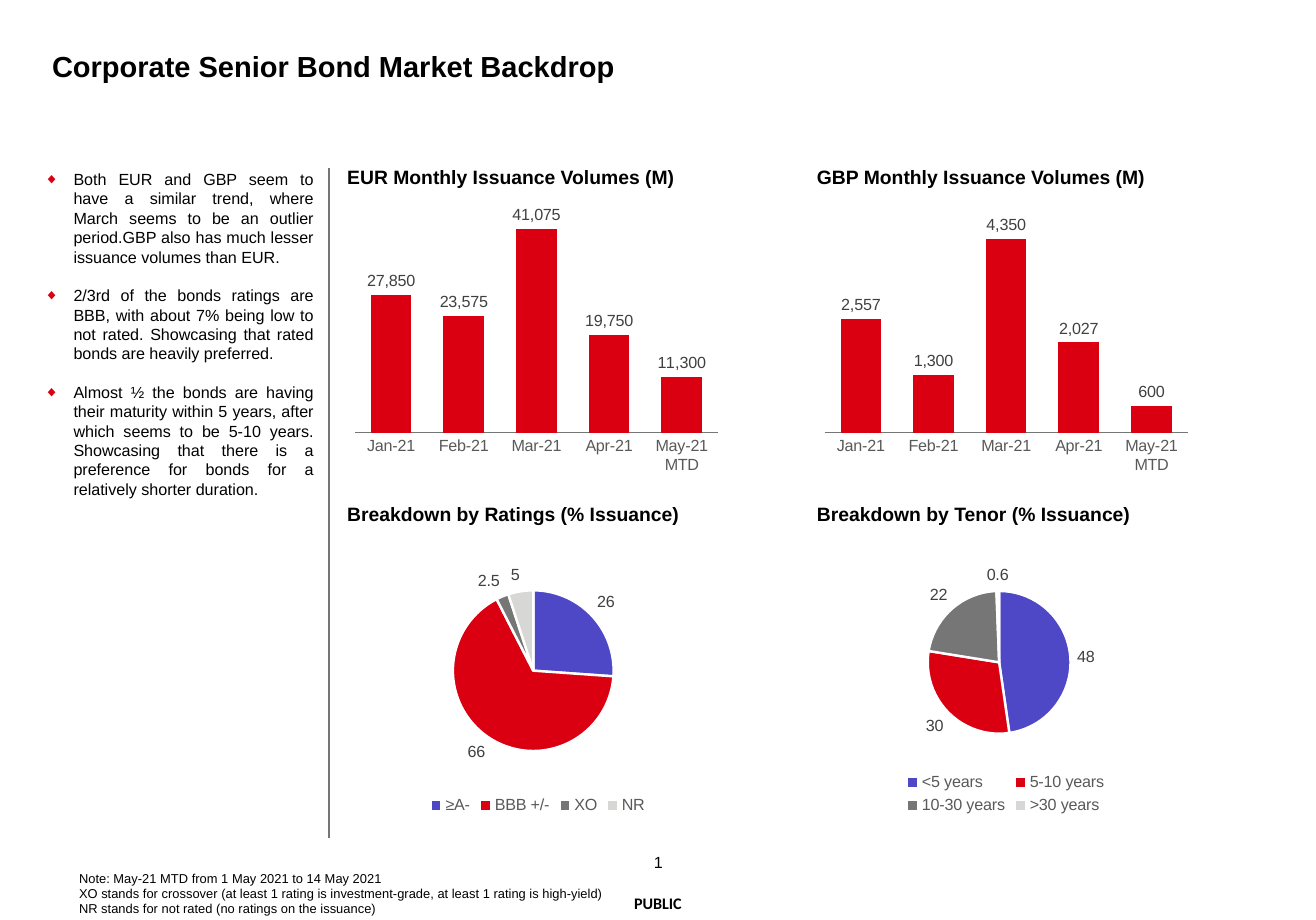
from lxml import etree
from pptx import Presentation
from pptx.chart.data import CategoryChartData
from pptx.dml.color import RGBColor
from pptx.enum.chart import XL_CHART_TYPE as ChartType
from pptx.enum.chart import XL_LABEL_POSITION as LabelPosition
from pptx.enum.chart import XL_LEGEND_POSITION as LegendPosition
from pptx.enum.chart import XL_TICK_LABEL_POSITION as TickLabels
from pptx.enum.chart import XL_TICK_MARK as TickMark
from pptx.enum.shapes import MSO_CONNECTOR as Connector
from pptx.enum.text import MSO_ANCHOR as Anchor
from pptx.enum.text import PP_ALIGN as Align
from pptx.oxml.ns import qn
from pptx.util import Cm, Pt

COLORS = {
    "black": "000000",
    "white": "FFFFFF",
    "label": "404040",
    "axis": "595959",
    "blue": "4E48C7",
    "red": "DB0011",
    "grey": "767676",
    "light": "D7D8D6",
}
SLICE_COLORS = ["blue", "red", "grey", "light"]
MONTHS = ["Jan-21", "Feb-21", "Mar-21", "Apr-21", "May-21 MTD"]

COMMENTARY = [
    "Both EUR and GBP seem to have a similar trend, where March seems to be an "
    "outlier period.GBP also has much lesser issuance volumes than EUR.",
    "2/3rd of the bonds ratings are BBB, with about 7% being low to not rated. "
    "Showcasing that rated bonds are heavily preferred.",
    "Almost ½ the bonds are having their maturity within 5 years, after which "
    "seems to be 5-10 years. Showcasing that there is a preference for bonds "
    "for a relatively shorter duration.",
]
NOTES = [
    "Note: May-21 MTD from 1 May 2021 to 14 May 2021",
    "XO stands for crossover (at least 1 rating is investment-grade, "
    "at least 1 rating is high-yield)",
    "NR stands for not rated (no ratings on the issuance)",
]
COLUMN_PANELS = [
    ("EUR Monthly Issuance Volumes (M)", 7.6, [27850, 23575, 41075, 19750, 11300], 45000),
    ("GBP Monthly Issuance Volumes (M)", 17.88, [2557, 1300, 4350, 2027, 600], 5000),
]
PIE_PANELS = [
    ("Breakdown by Ratings (% Issuance)", 7.6, 7.01,
     ["≥A-", "BBB +/-", "XO", "NR"], [26, 66, 2.5, 5]),
    ("Breakdown by Tenor (% Issuance)", 17.88, 17.25,
     ["<5 years", "5-10 years", "10-30 years", ">30 years"], [48, 30, 22, 0.6]),
]


def rgb(color):
    return RGBColor.from_string(COLORS[color])


class SlideBuilder:
    def __init__(self, slide, font="Arial", size=10):
        self.slide = slide
        self.font = font
        self.size = size

    def style(self, font, color="black", size=None, bold=False, name=None):
        font.name = name or self.font
        font.size = Pt(size or self.size)
        font.bold = bold
        font.color.rgb = rgb(color)

    def text(self, lines, left, top, width, height, align=Align.LEFT,
             anchor=Anchor.TOP, wrap=True, bullet=False, spacing=None, **style):
        box = self.slide.shapes.add_textbox(Cm(left), Cm(top), Cm(width), Cm(height))
        frame = box.text_frame
        frame.word_wrap = wrap
        frame.vertical_anchor = anchor
        frame.margin_left = frame.margin_right = 0
        frame.margin_top = frame.margin_bottom = 0
        for index, line in enumerate(lines):
            paragraph = frame.add_paragraph() if index else frame.paragraphs[0]
            paragraph.text = line
            paragraph.alignment = align
            paragraph.line_spacing = spacing
            if bullet:
                paragraph.space_before = Pt(12 if index else 0)
                self.bullet(paragraph)
            self.style(paragraph.font, **style)

    def bullet(self, paragraph):
        properties = paragraph._p.get_or_add_pPr()
        properties.set("marL", str(Cm(0.64)))
        properties.set("indent", str(-Cm(0.64)))
        color = etree.SubElement(properties, qn("a:buClr"))
        etree.SubElement(color, qn("a:srgbClr"), val=COLORS["red"])
        etree.SubElement(properties, qn("a:buSzPct"), val="90000")
        etree.SubElement(properties, qn("a:buFont"), typeface=self.font)
        etree.SubElement(properties, qn("a:buChar"), char="◆")

    def heading(self, text, left, top):
        self.text([text], left, top, 9.78, 0.51, size=12, bold=True)

    def line(self, left, top, right, bottom):
        connector = self.slide.shapes.add_connector(
            Connector.STRAIGHT, Cm(left), Cm(top), Cm(right), Cm(bottom))
        connector.line.color.rgb = rgb("grey")
        connector.line.width = Pt(1)
        etree.SubElement(connector._element.spPr, qn("a:effectLst"))

    def chart(self, kind, left, top, width, height, categories, values, number_format):
        data = CategoryChartData()
        data.categories = categories
        data.add_series("Issuance", values)
        chart = self.slide.shapes.add_chart(
            kind, Cm(left), Cm(top), Cm(width), Cm(height), data).chart
        chart.has_title = False
        chart.has_legend = False
        self.style(chart.font)
        plot = chart.plots[0]
        plot.has_data_labels = True
        labels = plot.data_labels
        labels.show_value = True
        labels.position = LabelPosition.OUTSIDE_END
        labels.number_format = number_format
        labels.number_format_is_linked = False
        self.style(labels.font, "label")
        return chart

    def column_chart(self, left, top, values, maximum):
        chart = self.chart(ChartType.COLUMN_CLUSTERED, left, top, 8.28, 6.02,
                           MONTHS, values, "#,##0")
        plot = chart.plots[0]
        plot.vary_by_categories = False
        plot.gap_width = 79
        plot.overlap = -27
        fill = plot.series[0].format.fill
        fill.solid()
        fill.fore_color.rgb = rgb("red")
        months = chart.category_axis
        months.major_tick_mark = TickMark.NONE
        months.format.line.color.rgb = rgb("grey")
        months.format.line.width = Pt(0.75)
        self.style(months.tick_labels.font, "axis")
        volumes = chart.value_axis
        volumes.minimum_scale = 0
        volumes.maximum_scale = maximum
        volumes.has_major_gridlines = False
        volumes.major_tick_mark = TickMark.NONE
        volumes.tick_label_position = TickLabels.NONE
        volumes.format.line.fill.background()

    def pie_chart(self, left, top, categories, values):
        chart = self.chart(ChartType.PIE, left, top, 9.53, 5.89,
                           categories, values, "General")
        plot = chart.plots[0]
        plot.vary_by_categories = True
        for index, color in enumerate(SLICE_COLORS):
            piece = plot.series[0].points[index].format
            piece.fill.solid()
            piece.fill.fore_color.rgb = rgb(color)
            piece.line.color.rgb = rgb("white")
            piece.line.width = Pt(1.5)
        chart.has_legend = True
        chart.legend.position = LegendPosition.BOTTOM
        chart.legend.include_in_layout = False
        self.style(chart.legend.font, "axis")


def main():
    presentation = Presentation()
    presentation.slide_width = Cm(28.8)
    presentation.slide_height = Cm(20.14)
    builder = SlideBuilder(presentation.slides.add_slide(presentation.slide_layouts[6]))

    builder.line(7.2, 3.68, 7.2, 18.34)
    builder.text(["Corporate Senior Bond Market Backdrop"], 1.14, 1.14, 26.49, 0.69,
                 spacing=0.9, size=18, bold=True)
    builder.text(COMMENTARY, 0.97, 3.71, 5.89, 14.73, align=Align.JUSTIFY, bullet=True)

    for title, left, values, maximum in COLUMN_PANELS:
        builder.heading(title, left, 3.61)
        builder.column_chart(left, 4.47, values, maximum)
    for title, left, chart_left, categories, values in PIE_PANELS:
        builder.heading(title, left, 11)
        builder.pie_chart(chart_left, 12.04, categories, values)

    builder.text(NOTES, 1.73, 19.05, 11.76, 1.02, size=8)
    builder.text(["1"], 14.17, 18.64, 0.48, 0.48, align=Align.CENTER,
                 anchor=Anchor.MIDDLE, wrap=False)
    builder.text(["PUBLIC"], 13.51, 19.56, 1.78, 0.43, align=Align.CENTER,
                 anchor=Anchor.MIDDLE, bold=True, name="Calibri")
    presentation.save("out.pptx")


if __name__ == "__main__":
    main()
